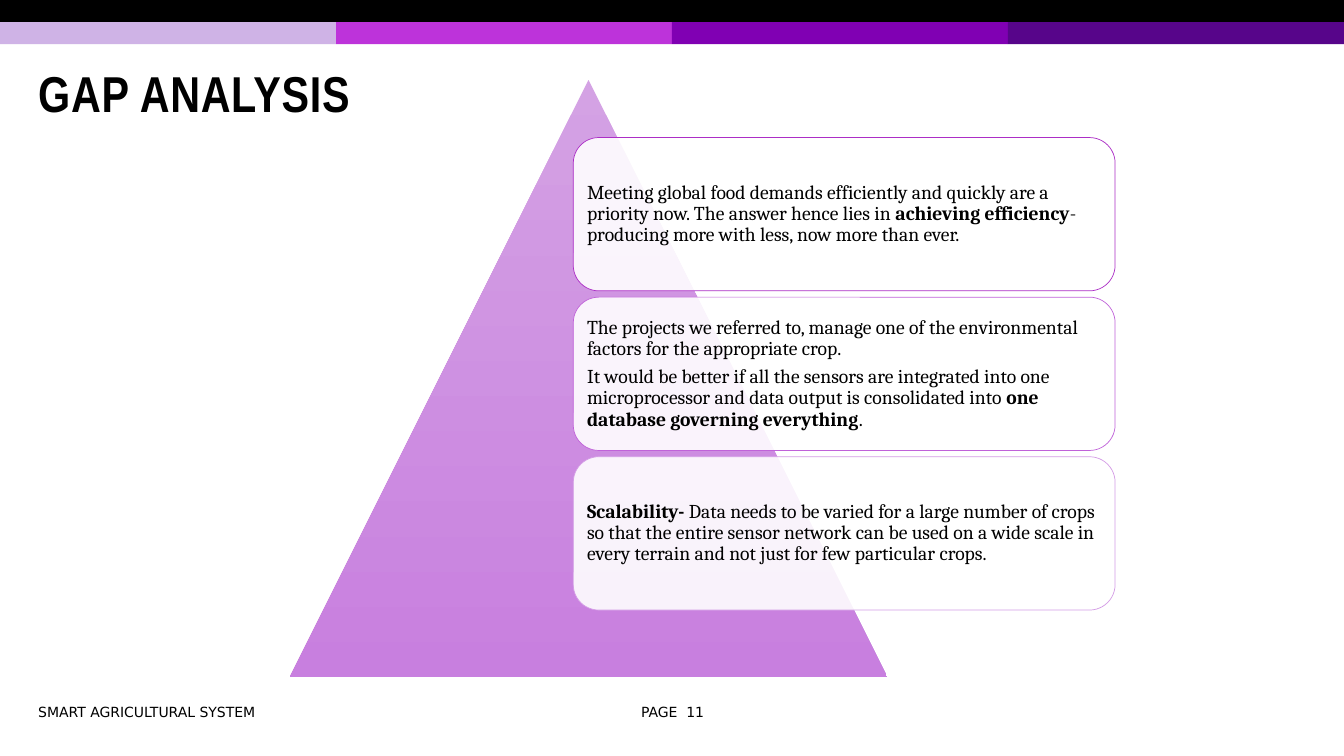
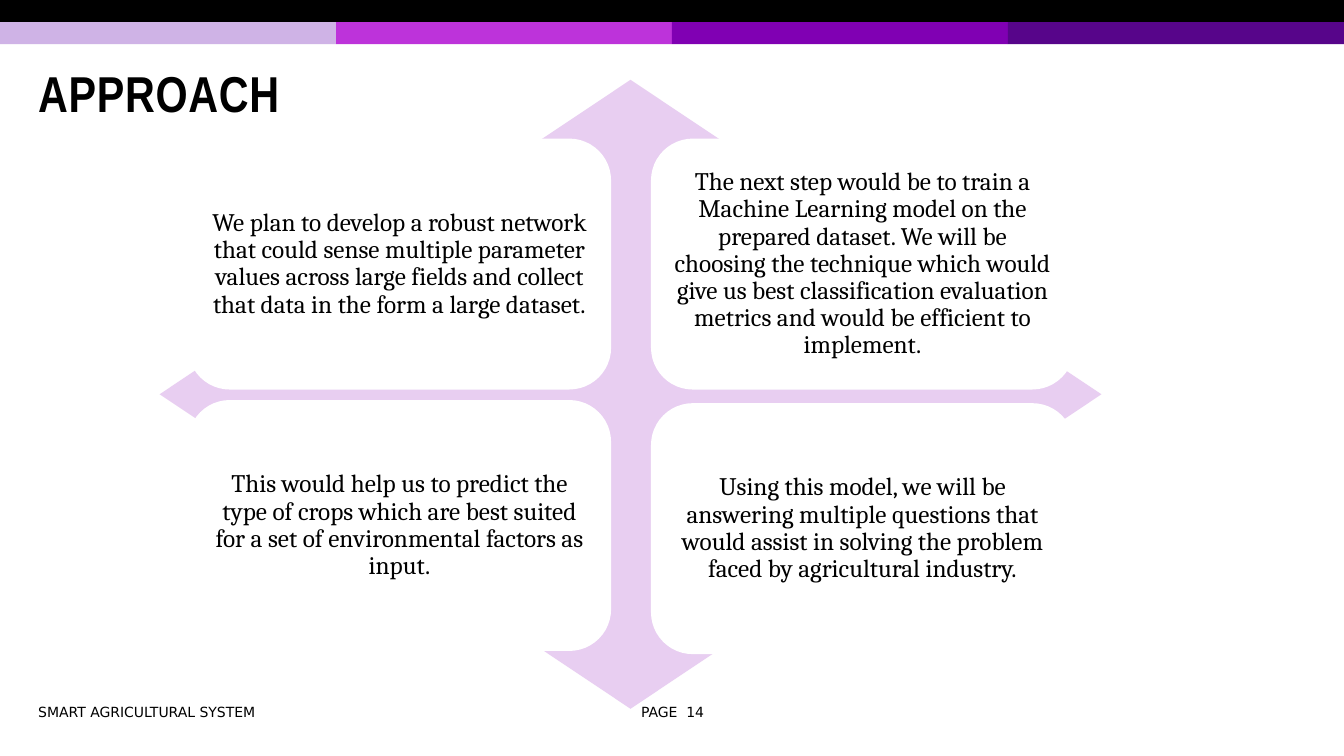
from lxml.etree import SubElement
from pptx import Presentation
from pptx.dml.color import RGBColor
from pptx.enum.shapes import MSO_SHAPE
from pptx.enum.text import MSO_ANCHOR, PP_ALIGN
from pptx.oxml.ns import qn
from pptx.util import Pt

# Content: *stars* mark bold words
FOOTER = "SMART AGRICULTURAL SYSTEM"
GAPS = [
    ["Meeting global food demands efficiently and quickly are a priority now. "
     "The answer hence lies in *achieving efficiency*- producing more with "
     "less, now more than ever."],
    ["The projects we referred to, manage one of the environmental factors "
     "for the appropriate crop.",
     "It would be better if all the sensors are integrated into one "
     "microprocessor and data output is consolidated into *one database "
     "governing everything*."],
    ["*Scalability-* Data needs to be varied for a large number of crops so "
     "that the entire sensor network can be used on a wide scale in every "
     "terrain and not just for few particular crops."],
]
STEPS = [
    ["We plan to develop a robust network that could sense multiple parameter "
     "values across large fields and collect that data in the form a large "
     "dataset."],
    ["The next step would be to train a Machine Learning model on the prepared "
     "dataset. We will be choosing the technique which would give us best "
     "classification evaluation metrics and would be efficient to implement."],
    ["This would help us to predict the type of crops which are best suited "
     "for a set of environmental factors as input."],
    ["Using this model, we will be answering multiple questions that would "
     "assist in solving the problem faced by agricultural industry."],
]

# Shared style
PX = 9525
WIDE, HIGH = 1280, 720
BAND = 21
BLACK = RGBColor(0, 0, 0)
WHITE = RGBColor(255, 255, 255)
BANDS = [RGBColor(0xCF, 0xB3, 0xE6), RGBColor(0xBD, 0x33, 0xDA),
         RGBColor(0x80, 0x00, 0xB3), RGBColor(0x57, 0x05, 0x8A)]
EDGES = [RGBColor(0xAC, 0x2E, 0xC6), RGBColor(0xC0, 0x62, 0xD9),
         RGBColor(0xD4, 0x9C, 0xE6)]
LIGHT = RGBColor(0xD4, 0xA2, 0xE4)
DEEP = RGBColor(0xC8, 0x7F, 0xDF)
PALE = RGBColor(0xE8, 0xCE, 0xF1)
HEAD, BODY, SMALL = "Arial Narrow", "Cambria", "DejaVu Sans"


def scale(*box):
    return [n * PX for n in box]


def draw(slide, kind, box, fill, edge=None):
    shape = slide.shapes.add_shape(kind, *scale(*box))
    shape.shadow.inherit = False
    shape.fill.solid()
    shape.fill.fore_color.rgb = fill
    if edge is None:
        shape.line.fill.background()
    else:
        shape.line.color.rgb = edge
        shape.line.width = Pt(0.5)
    return shape


def style(run, font, size, bold=False):
    run.font.name = font
    run.font.size = Pt(size)
    run.font.bold = bold
    run.font.color.rgb = BLACK


def label(slide, box, text, font, size, bold=False, align=PP_ALIGN.LEFT):
    frame = slide.shapes.add_textbox(*scale(*box)).text_frame
    frame.word_wrap = True
    frame.vertical_anchor = MSO_ANCHOR.MIDDLE
    frame.text = text
    para = frame.paragraphs[0]
    para.alignment = align
    style(para.runs[0], font, size, bold)
    return para


def write(shape, paras, size, inset, align):
    frame = shape.text_frame
    frame.word_wrap = True
    frame.vertical_anchor = MSO_ANCHOR.MIDDLE
    frame.margin_left = frame.margin_right = inset * PX
    frame.margin_top = frame.margin_bottom = inset * PX
    frame.text = "\n".join(paras)
    for para, text in zip(frame.paragraphs, paras):
        para.text = ""
        para.alignment = align
        para.line_spacing = 0.9
        para.space_after = Pt(round(size * 0.35))
        for i, part in enumerate(text.split("*")):
            if part:
                run = para.add_run()
                run.text = part
                style(run, BODY, size, i % 2 == 1)


def start(deck, title, page):
    """Add a slide with bands, title and footer."""
    slide = deck.slides.add_slide(deck.slide_layouts[6])
    part = WIDE // len(BANDS)
    draw(slide, MSO_SHAPE.RECTANGLE, (0, 0, WIDE, BAND), BLACK)
    for i, fill in enumerate(BANDS):
        draw(slide, MSO_SHAPE.RECTANGLE, (i * part, BAND, part, BAND), fill)
    para = label(slide, (27, 45, 1214, 94), title, HEAD, 36, True)
    para.line_spacing = 0.85
    para.runs[0].font._element.set("spc", "50")
    label(slide, (27, 665, 549, 26), FOOTER, SMALL, 10)
    label(slide, (587, 665, 107, 26), f"PAGE  {page}", SMALL, 10,
          align=PP_ALIGN.CENTER)
    return slide


def gap_slide(deck):
    slide = start(deck, "GAP ANALYSIS", 11)
    # Triangle, shaded from top to bottom
    peak = draw(slide, MSO_SHAPE.ISOSCELES_TRIANGLE, (276, 76, 569, 569), LIGHT)
    peak.fill.gradient()
    peak.fill.gradient_angle = 270
    for stop, color in zip(peak.fill.gradient_stops, (LIGHT, DEEP)):
        stop.color.rgb = color
    # Stacked cards, slightly see-through
    for i, (paras, edge) in enumerate(zip(GAPS, EDGES)):
        card = draw(slide, MSO_SHAPE.ROUNDED_RECTANGLE,
                    (546, 131 + i * 152, 516, 146), WHITE, edge)
        tint = card.element.spPr.find(qn("a:solidFill"))[0]
        SubElement(tint, qn("a:alpha")).set("val", "90000")
        write(card, paras, 14, 6, PP_ALIGN.LEFT)


def step_slide(deck):
    slide = start(deck, "APPROACH", 14)
    draw(slide, MSO_SHAPE.DIAMOND, (152, 76, 897, 599), PALE)
    # Two by two cards over the diamond; the last sits a little lower
    tops = [132, 132, 381, 384]
    for i, (paras, top) in enumerate(zip(STEPS, tops)):
        card = draw(slide, MSO_SHAPE.ROUNDED_RECTANGLE,
                    (179 + i % 2 * 441, top, 403, 239), WHITE)
        write(card, paras, 18, 7, PP_ALIGN.CENTER)


def main():
    deck = Presentation()
    deck.slide_width, deck.slide_height = scale(WIDE, HIGH)
    gap_slide(deck)
    step_slide(deck)
    deck.save("out.pptx")


if __name__ == "__main__":
    main()
